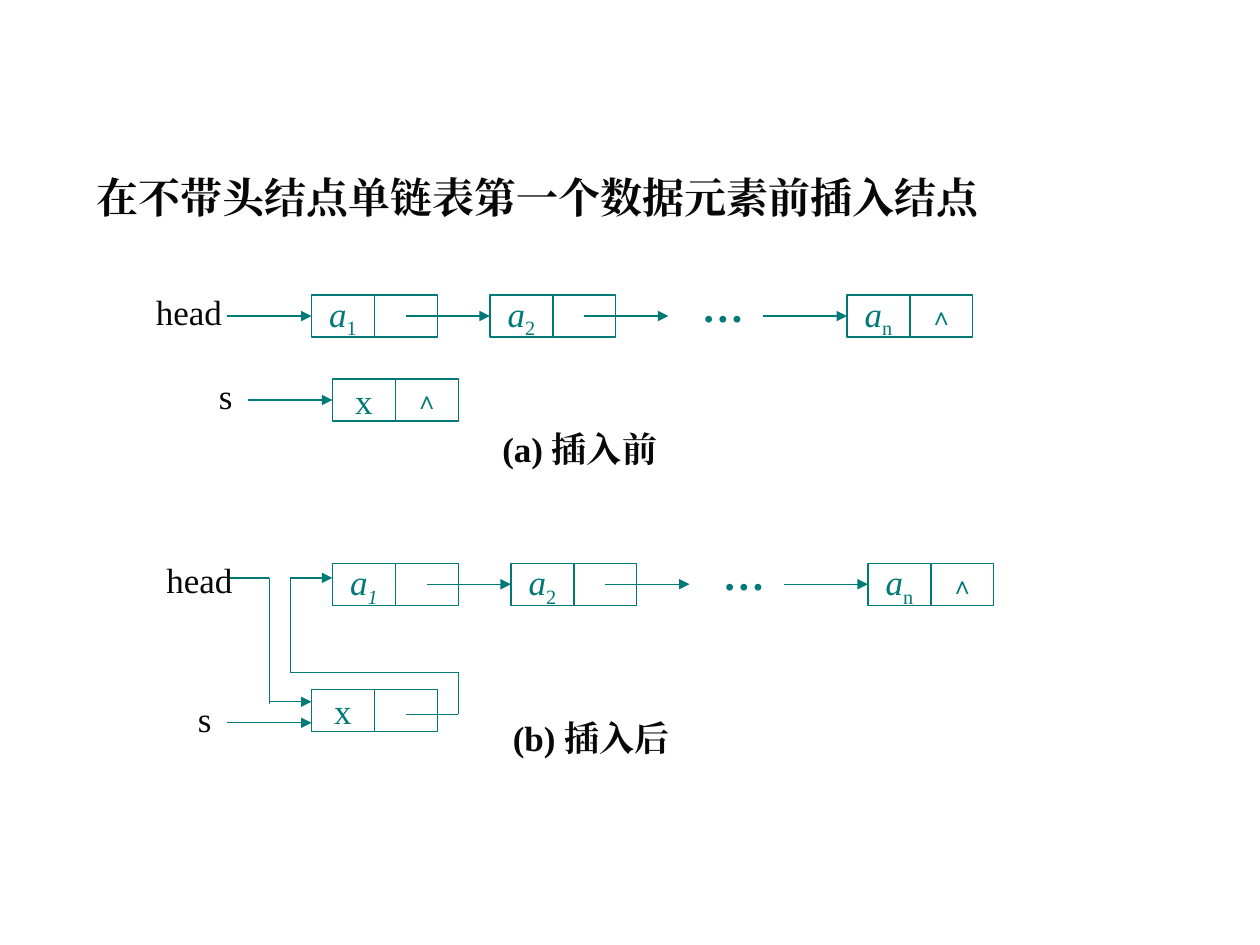
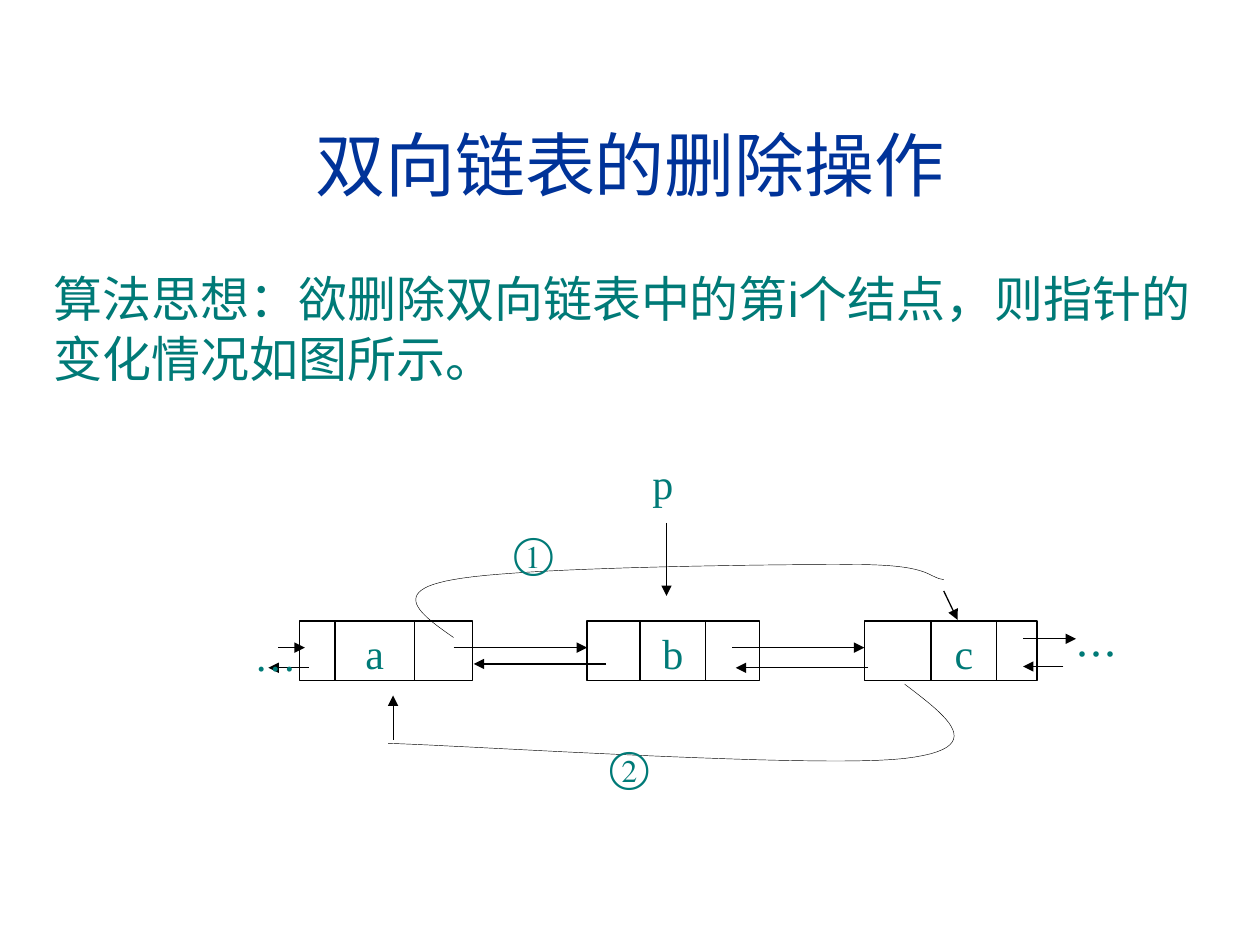
"""Build two slides on inserting into and deleting from linked lists."""
from dataclasses import dataclass
from typing import NamedTuple, Optional

from lxml import etree
from pptx import Presentation
from pptx.dml.color import RGBColor
from pptx.enum import shapes, text
from pptx.oxml.ns import qn
from pptx.util import Emu, Inches, Pt

SLIDE_W, SLIDE_H = Inches(10), Inches(7.5)


@dataclass(frozen=True)
class Theme:
    """Colours, fonts, type sizes and line widths of both slides."""
    teal: str = "007A77"
    ink: str = "080808"
    blue: str = "003399"
    black: str = "000000"
    white: str = "FFFFFF"
    serif: str = "Times New Roman"
    sans: str = "Arial"
    cjk: str = "Noto Sans CJK SC"
    title: float = 40
    body: float = 28
    heading: float = 24
    label: float = 20
    mark: float = 14
    line: float = 0.75
    hair: float = 0.25


T = Theme()


@dataclass(frozen=True)
class Grid:
    """A grid of columns and rows laid from an origin on the slide."""
    columns: float
    rows: float
    left: float = 0
    top: float = 0

    def w(self, n: float) -> Emu:
        """Width of n columns."""
        return Emu(round(SLIDE_W * n / self.columns))

    def h(self, n: float) -> Emu:
        """Height of n rows."""
        return Emu(round(SLIDE_H * n / self.rows))

    def x(self, col: float) -> Emu:
        """Place of a column on the slide."""
        return Emu(self.w(self.left + col))

    def y(self, row: float) -> Emu:
        """Place of a row on the slide."""
        return Emu(self.h(self.top + row))

    def box(self, col: float, row: float, w: float, h: float) -> tuple:
        """Left, top, width and height of an area."""
        return self.x(col), self.y(row), self.w(w), self.h(h)


class Run(NamedTuple):
    """A stretch of text in one style."""
    text: str
    size: float = T.label
    color: str = T.teal
    font: str = T.serif
    bold: bool = False
    italic: bool = False
    sub: bool = False


class Label(NamedTuple):
    """A text box on a grid."""
    col: float
    row: float
    w: float
    h: float
    runs: list
    align: Optional[int] = None
    anchor: int = text.MSO_ANCHOR.TOP
    leading: Optional[float] = None


class Line(NamedTuple):
    """A straight line between two grid points."""
    x1: float
    y1: float
    x2: float
    y2: float
    arrow: bool = True
    color: str = T.black
    width: float = T.line


class DoubleNode(NamedTuple):
    """A doubly linked node and the columns of its two dividers."""
    name: str
    col: float
    prior: float
    next: float


def write(sp, runs: list, align=None, anchor=text.MSO_ANCHOR.TOP, wrap: bool = True) -> None:
    """Fill a shape with one paragraph, run by run."""
    tf = sp.text_frame
    tf.word_wrap = wrap
    tf.vertical_anchor = anchor
    p = tf.paragraphs[0]
    p.alignment = align
    for run in runs:
        r = p.add_run()
        r.text = run.text
        f = r.font
        f.size, f.name, f.bold, f.italic = Pt(run.size), run.font, run.bold, run.italic
        f.color.rgb = RGBColor.from_string(run.color)
        rpr = r._r.get_or_add_rPr()
        etree.SubElement(rpr, qn("a:ea")).set("typeface", run.font)
        if run.sub:
            rpr.set("baseline", "-25000")


def add_label(s, g: Grid, label: Label) -> None:
    """Add a text box."""
    sp = s.shapes.add_textbox(*g.box(label.col, label.row, label.w, label.h))
    write(sp, label.runs, label.align, label.anchor)
    if label.leading:
        sp.text_frame.paragraphs[0].line_spacing = Pt(label.leading)


def set_line(sp, color: str, width: float) -> None:
    """Give a shape or connector its outline."""
    sp.line.color.rgb = RGBColor.from_string(color)
    sp.line.width = Pt(width)


def add_line(s, g: Grid, line: Line, target=None) -> None:
    """Add a line, joined to the left side of a target if there is one."""
    sp = s.shapes.add_connector(shapes.MSO_CONNECTOR.STRAIGHT, g.x(line.x1), g.y(line.y1),
                                g.x(line.x2), g.y(line.y2))
    if target is not None:
        sp.end_connect(target, 1)
    set_line(sp, line.color, line.width)
    if line.arrow:
        etree.SubElement(sp.line._get_or_add_ln(), qn("a:tailEnd")).set("type", "triangle")
    etree.SubElement(sp._element.spPr, qn("a:effectLst"))


def add_rect(s, area: tuple, color: str, fill: Optional[str] = None):
    """Add an outlined rectangle."""
    sp = s.shapes.add_shape(shapes.MSO_SHAPE.RECTANGLE, *area)
    sp.shadow.inherit = False
    if fill:
        sp.fill.solid()
        sp.fill.fore_color.rgb = RGBColor.from_string(fill)
    else:
        sp.fill.background()
    set_line(sp, color, T.line)
    return sp


def add_path(s, g: Grid, points: list, arrow: bool = False) -> None:
    """Join points by straight teal lines, with an arrow on the last if asked."""
    for i, (a, b) in enumerate(zip(points, points[1:]), 2):
        add_line(s, g, Line(*a, *b, arrow and i == len(points), T.teal))


def add_curve(s, g: Grid, points: list, steps: int = 24) -> None:
    """Draw a chain of cubic curves as a fine open outline."""
    dots = [points[0]]
    for i in range(0, len(points) - 1, 3):
        for k in range(1, steps + 1):
            t = k / steps
            weights = ((1 - t) ** 3, 3 * t * (1 - t) ** 2, 3 * t * t * (1 - t), t ** 3)
            dots.append(tuple(sum(w * p[axis] for w, p in zip(weights, points[i:i + 4]))
                              for axis in (0, 1)))
    dots = [(g.x(col), g.y(row)) for col, row in dots]
    fb = s.shapes.build_freeform(*dots[0])
    fb.add_line_segments(dots[1:], close=False)
    sp = fb.convert_to_shape()
    sp.shadow.inherit = False
    sp.fill.background()
    set_line(sp, T.black, T.hair)


END = [Run("∧", T.mark, bold=True)]


def add_node(s, g: Grid, col: float, row: float, data: list, link: list):
    """Add a data cell and a link cell, and return the data cell."""
    cells = []
    for i, runs in enumerate((data, link)):
        sp = add_rect(s, g.box(col + 3 * i, row, 3, 2), T.teal)
        if runs:
            write(sp, runs, text.PP_ALIGN.CENTER, text.MSO_ANCHOR.MIDDLE, wrap=False)
        cells.append(sp)
    return cells[0]


def add_chain(s, g: Grid, italic_first: bool = False):
    """Add the list a1, a2 to an, and return its first cell."""
    heads = []
    for col, sub in ((0, "1"), (8.5, "2"), (25.5, "n")):
        data = [Run("a", italic=True), Run(sub, italic=italic_first and col == 0, sub=True)]
        heads.append(add_node(s, g, col, 0, data, END if sub == "n" else []))
    for i, target in enumerate((heads[1], None, heads[2])):
        start = 4.5 + 8.5 * i
        add_line(s, g, Line(start, 1, start + 4, 1, color=T.teal), target)
    add_label(s, g, Label(18, -1, 4.5, 3, [Run("…", T.heading, bold=True)]))
    return heads[0]


def add_names(s, g: Grid, head: tuple, new: tuple, caption: tuple, words: str) -> None:
    """Name the two pointers and caption the diagram."""
    for place, width, name, bold in ((head, 4.5, "head", False), (new, 2.5, "s", False),
                                     (caption, 12, words, True)):
        add_label(s, g, Label(*place, width, 2.65, [Run(name, color=T.ink, bold=bold)]))


def insertion_slide(prs) -> None:
    """Show a singly linked list before and after an insertion."""
    s = prs.slides.add_slide(prs.slide_layouts[6])
    add_label(s, Grid(60, 45), Label(4, 7.85, 48, 3, [
        Run("在不带头结点单链表第一个数据元素前插入结点", T.heading, T.ink, bold=True)]))

    before = Grid(60, 45, 14.83, 14.05)
    first = add_chain(s, before)
    add_line(s, before, Line(-4, 1, 0, 1, color=T.teal), first)
    new = add_node(s, before, 1, 4, [Run("x")], END)
    add_line(s, before, Line(-3, 5, 1, 5, color=T.teal), new)
    add_names(s, before, (-8, -0.5), (-5, 3.5), (8.5, 6), "(a) 插入前")

    after = Grid(60, 45, 15.83, 26.82)
    add_chain(s, after, italic_first=True)
    add_node(s, after, -1, 6, [Run("x")], [])
    add_path(s, after, [(-5, 7.6), (-1, 7.6)], arrow=True)
    add_path(s, after, [(-5, 0.7), (-3, 0.7), (-3, 6.7)])
    add_path(s, after, [(-3, 6.6), (-1, 6.6)], arrow=True)
    add_path(s, after, [(3.5, 7.2), (6, 7.2), (6, 5.2), (-2, 5.2), (-2, 0.7), (0, 0.7)],
             arrow=True)
    add_names(s, after, (-8.5, -0.5), (-7, 6.1), (8, 7), "(b) 插入后")


def deletion_slide(prs) -> None:
    """Show how pointers change when a doubly linked node is deleted."""
    s = prs.slides.add_slide(prs.slide_layouts[6])
    g = Grid(100, 75)
    add_label(s, g, Label(3.3, 6.7, 93.4, 12.5, [
        Run("双向链表的删除操作", T.title, T.blue, T.cjk)],
        text.PP_ALIGN.CENTER, text.MSO_ANCHOR.MIDDLE))
    words = (("算法思想：", T.sans), ("欲删除双向链表中的第", T.cjk), ("i", T.sans),
             ("个结点，则指针的变化情况如图所示。", T.cjk))
    add_label(s, g, Label(3.3, 20.8, 93.4, 45.9,
                          [Run(w, T.body, font=f) for w, f in words], leading=34))

    top, width, height = 49.3, 13.7, 4.7
    for node in (DoubleNode("a", 23.8, 26.6, 32.9), DoubleNode("b", 46.6, 50.8, 56),
                 DoubleNode("c", 68.6, 73.9, 79.1)):
        sp = add_rect(s, g.box(node.col, top, width, height), T.black, T.white)
        sp.text_frame.margin_left = g.w(node.prior - node.col)
        sp.text_frame.margin_right = g.w(node.col + width - node.next)
        write(sp, [Run(node.name, T.heading)], text.PP_ALIGN.CENTER)
        for col in (node.prior, node.next):
            add_line(s, g, Line(col, top, col, top + height, arrow=False))

    for x1, x2, row in ((36, 46.6, 51.4), (48.1, 37.6, 52.7), (22.1, 24.2, 51.4),
                        (24.5, 21.3, 53), (81.2, 85.4, 50.7), (84.4, 81.2, 52.9),
                        (58.1, 68.6, 51.4), (68.9, 58.4, 53)):
        add_line(s, g, Line(x1, row, x2, row))
    for line in (Line(52.9, 41.5, 52.9, 47.3), Line(74.9, 46.9, 76, 49.2),
                 Line(31.2, 58.7, 31.2, 55.2, width=T.hair)):
        add_line(s, g, line)
    add_curve(s, g, [(36, 50.6), (33.4, 48.8), (30.8, 46.9), (36, 46), (41.3, 45),
                     (61.1, 44.8), (67.6, 44.8), (74, 44.8), (73.5, 45.8), (74.9, 46)])
    add_curve(s, g, [(71.8, 54.3), (75.2, 56.9), (78.6, 59.4), (71.8, 60.2),
                     (64.9, 61), (37.4, 59.2), (30.8, 59)])

    for col, row, w, h, mark, font in (
            (50.8, 35.8, 4.7, 4.7, "p", T.serif), (47.4, 58.3, 5.1, 5, "②", T.serif),
            (39.8, 41.3, 5.1, 5, "①", T.serif), (19.2, 49.5, 4.1, 4.7, "…", T.serif),
            (84.4, 49.4, 4.7, 6.2, "…", T.cjk)):
        add_label(s, g, Label(col, row, w, h, [Run(mark, T.heading, font=font)]))


def main() -> None:
    """Build and save the presentation."""
    prs = Presentation()
    prs.slide_width, prs.slide_height = SLIDE_W, SLIDE_H
    insertion_slide(prs)
    deletion_slide(prs)
    prs.save("out.pptx")


if __name__ == "__main__":
    main()
